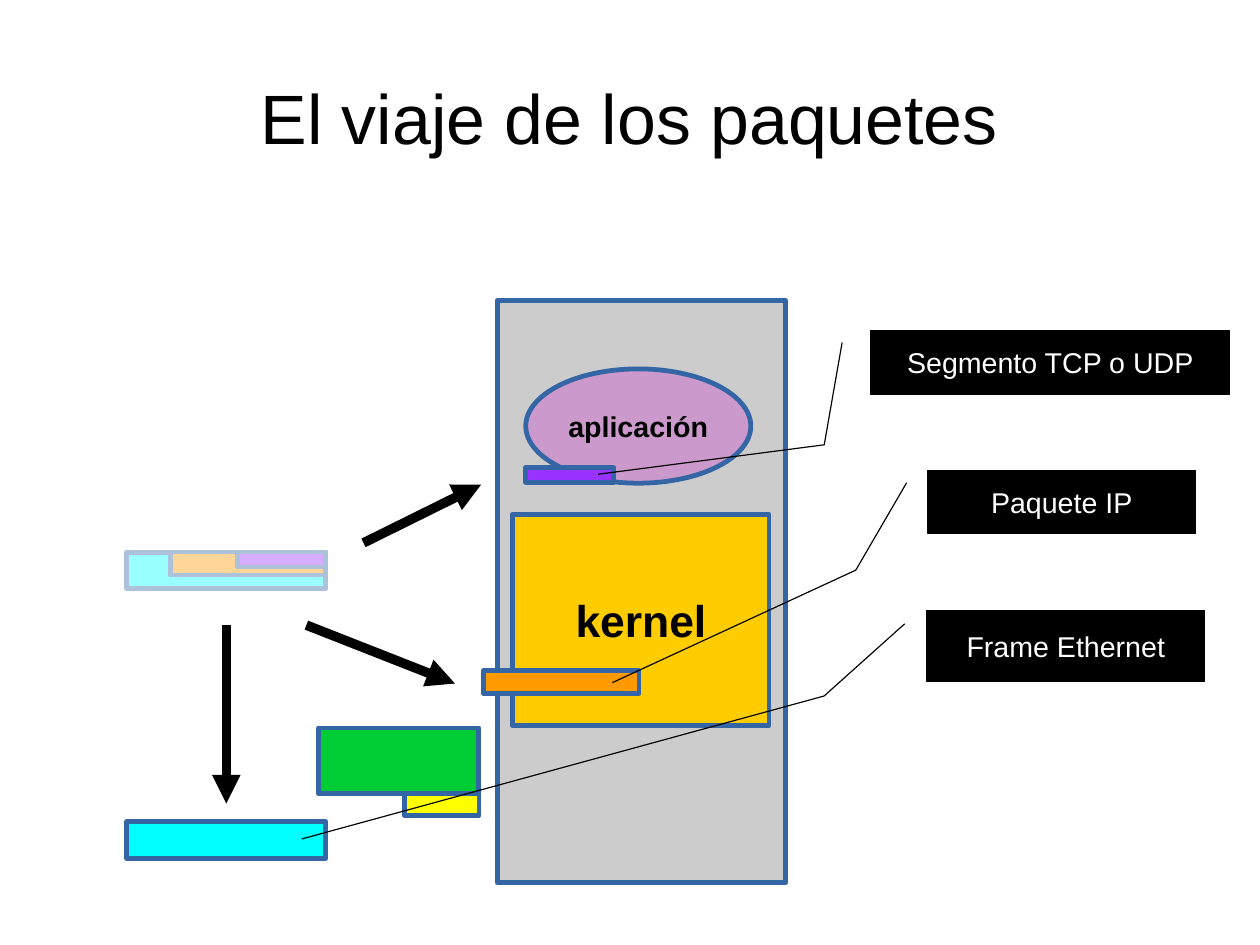
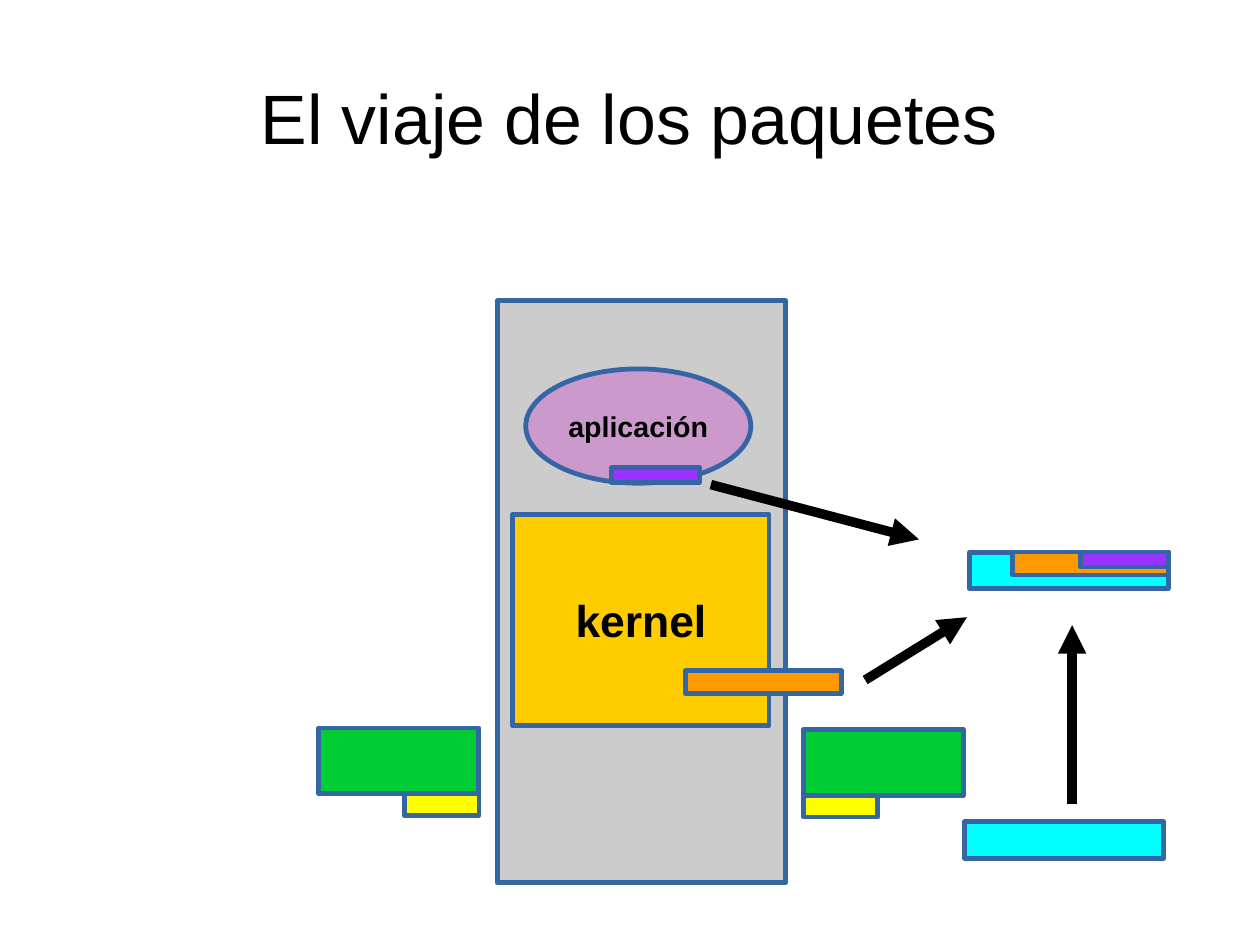
from lxml.etree import SubElement
from pptx import Presentation
from pptx.dml.color import RGBColor
from pptx.enum.shapes import MSO_CONNECTOR, MSO_SHAPE
from pptx.enum.text import MSO_ANCHOR, PP_ALIGN
from pptx.oxml.ns import qn
from pptx.util import Pt

FONT = "Arial"
BLACK, WHITE, OUTLINE = "000000", "FFFFFF", "3465A4"
GREY, GOLD, MAUVE = "CCCCCC", "FFCC00", "CC99CC"
GREEN, YELLOW = "00CC33", "FFFF00"
FRAME = (125.3, 23, "00FFFF")
PACKET = (97.9, 14.4, "FF9900")
SEGMENT = (55.4, 9.4, "9933FF")
CARD_WIDTH, CARD_HEIGHT = 100.8, 41.4
PLUG_WIDTH, PLUG_HEIGHT = 46.8, 13.7
STACK_TOP = 347.8


def add_box(page, kind, left, top, width, height, fill, line=OUTLINE, weight=3):
    box = page.shapes.add_shape(kind, Pt(left), Pt(top), Pt(width), Pt(height))
    box.shadow.inherit = False
    box.fill.solid()
    box.fill.fore_color.rgb = RGBColor.from_string(fill)
    if line:
        box.line.color.rgb = RGBColor.from_string(line)
        box.line.width = Pt(weight)
    else:
        box.line.fill.background()
    return box


def write(box, text, size, color=BLACK, bold=False, margins=(0, 0), wrap=False):
    frame = box.text_frame
    frame.text = text
    frame.word_wrap = wrap
    frame.vertical_anchor = MSO_ANCHOR.MIDDLE
    frame.margin_left = frame.margin_right = Pt(margins[0])
    frame.margin_top = frame.margin_bottom = Pt(margins[1])
    para = frame.paragraphs[0]
    para.alignment = PP_ALIGN.CENTER
    font = para.runs[0].font
    font.name = FONT
    font.size = Pt(size)
    font.bold = bold
    font.color.rgb = RGBColor.from_string(color)


arrival = {
    "cards": [(200.9, 458.6, 254.9)],
    "pieces": [(79.9, 517.7), (304.6, 422.6), (331.2, 294.5)],
    "stack_right": 205.2,
    "arrows": [
        (142.6, 393.8, 142.6, 506.2),
        (193, 393.8, 286.6, 430.6),
        (229, 342, 303.1, 305.3),
    ],
    "veil": (25.2, 316.8, 190.8, 69.8),
    "callouts": [
        ("Frame Ethernet", (583.9, 384.5, 175, 44.6), (1.21, -0.37, 3.23, -2.25)),
        ("Paquete IP", (584.6, 296.6, 168.5, 39.6), (1.58, -0.27, 3.37, -1.18)),
        ("Segmento TCP o UDP", (548.6, 208.1, 226.1, 40.3), (1.79, -0.13, 2.25, -0.76)),
    ],
}
departure = {
    "cards": [(200.9, 458.6, 254.9), (506.2, 459.6, 506.2)],
    "pieces": [(607.7, 517.7), (432, 422.6), (385.2, 294.5)],
    "stack_right": 735.9,
    "arrows": [
        (675.4, 506.2, 675.4, 393.8),
        (545, 428.4, 609.1, 388.8),
        (447.8, 305.3, 578.9, 339.8),
    ],
    "veil": None,
    "callouts": [],
}

deck = Presentation()
deck.slide_width, deck.slide_height = Pt(793.7), Pt(595.3)

for stage in (arrival, departure):
    page = deck.slides.add_slide(deck.slide_layouts[6])
    title = page.shapes.add_textbox(Pt(39.6), Pt(23.8), Pt(714.2), Pt(99.4))
    write(title, "El viaje de los paquetes", 44, wrap=True)

    for left, top, plug_left in stage["cards"]:
        add_box(page, MSO_SHAPE.RECTANGLE, left, top, CARD_WIDTH, CARD_HEIGHT, GREEN)
        add_box(page, MSO_SHAPE.RECTANGLE, plug_left, top + CARD_HEIGHT,
                PLUG_WIDTH, PLUG_HEIGHT, YELLOW)

    add_box(page, MSO_SHAPE.RECTANGLE, 313.2, 189.4, 181.8, 366.5, GREY)
    kernel = add_box(page, MSO_SHAPE.RECTANGLE, 322.9, 324, 161.6, 133.2, GOLD)
    write(kernel, "kernel", 28, bold=True, margins=(8.6, 5))
    application = add_box(page, MSO_SHAPE.OVAL, 331.2, 232.4, 141.8, 72, MAUVE)
    write(application, "aplicación", 18, bold=True, margins=(8.6, 5))

    for (left, top), (width, height, fill) in zip(stage["pieces"], (FRAME, PACKET, SEGMENT)):
        add_box(page, MSO_SHAPE.RECTANGLE, left, top, width, height, fill)
    for width, height, fill in (FRAME, PACKET, SEGMENT):
        add_box(page, MSO_SHAPE.RECTANGLE, stage["stack_right"] - width, STACK_TOP,
                width, height, fill)

    for ends in stage["arrows"]:
        arrow = page.shapes.add_connector(MSO_CONNECTOR.STRAIGHT, *map(Pt, ends))
        arrow.line.color.rgb = RGBColor.from_string(BLACK)
        arrow.line.width = Pt(6)
        SubElement(arrow.line._get_or_add_ln(), qn("a:tailEnd"), type="triangle")
        SubElement(arrow._element.spPr, qn("a:effectLst"))

    if stage["veil"]:
        veil = add_box(page, MSO_SHAPE.RECTANGLE, *stage["veil"], WHITE, line=None)
        color = veil._element.spPr.find(qn("a:solidFill")).find(qn("a:srgbClr"))
        SubElement(color, qn("a:alpha"), val="60000")

    for text, area, bends in stage["callouts"]:
        callout = add_box(page, MSO_SHAPE.LINE_CALLOUT_2, *area, BLACK, BLACK, 0)
        for index, value in enumerate((0.19, -0.08) + bends):
            callout.adjustments[index] = value
        write(callout, text, 18, WHITE, margins=(7.2, 3.6))

deck.save("out.pptx")
